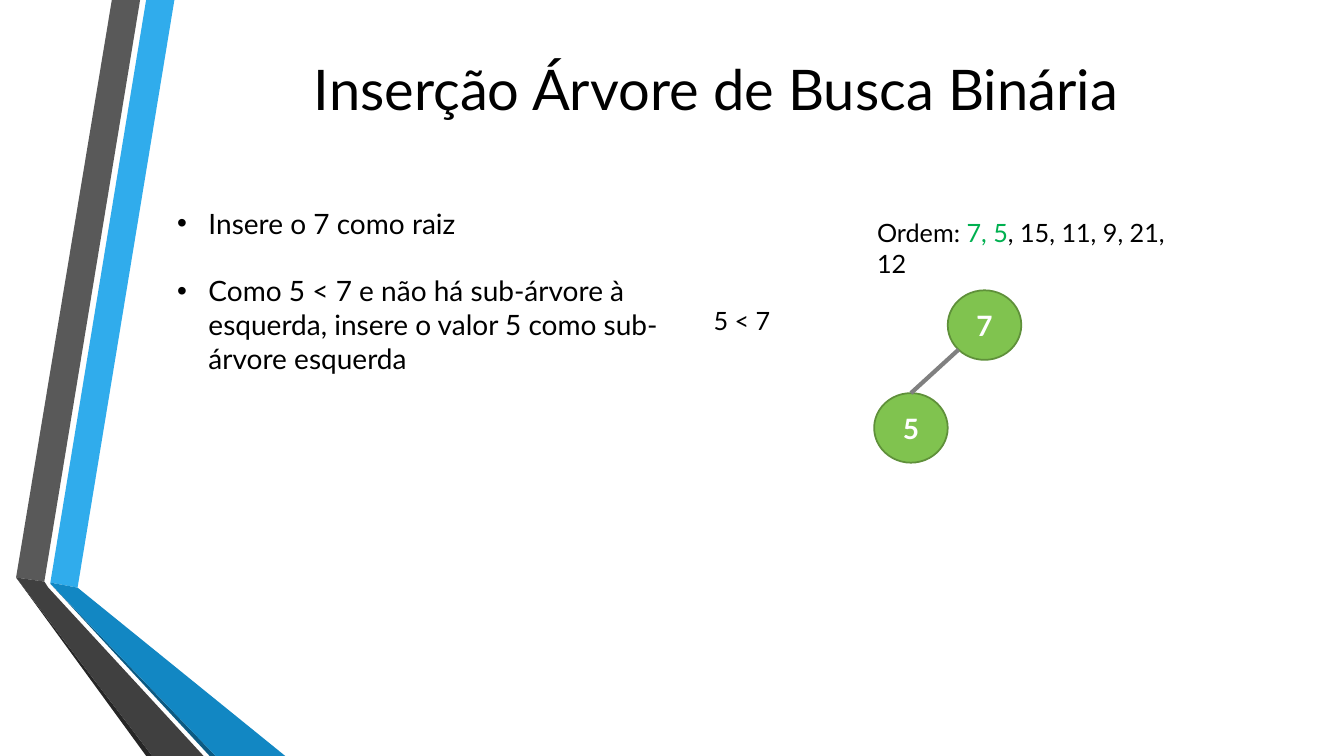
"""Builds the slide on inserting 7 and 5 into a binary search tree."""
import math
import pptx
import pptx.util
import pptx.dml.color
import pptx.enum.shapes
import pptx.enum.text
import pptx.oxml
import pptx.oxml.ns

HUES = {
    "black": "000000", "white": "FFFFFF", "done": "00B050", "node": "80C34F",
    "rim": "5F903A", "edge": "808080", "sky": "30ACEC", "gray": "595959",
    "soot": "262626", "navy": "0C5A82", "blue": "1287C3", "dark": "404040",
}
TITLE = "Inserção Árvore de Busca Binária"
STEPS = [
    "Insere o 7 como raiz",
    "Como 5 < 7 e não há sub-árvore à esquerda, insere o valor 5 como sub-árvore esquerda",
]
ORDER = [("Ordem: ", "black"), ("7, 5", "done"), (", 15, 11, 9, 21, 12", "black")]
TEST = "5 < 7"
NODES = {"7": (1, 0), "5": (0, 1)}
EDGES = [("7", "5")]
BANDS = [
    ("sky", [(0.5, 5.78), (0.77, 5.83), (1.73, 0), (1.45, 0)]),
    ("gray", [(1.39, 0), (1.11, 0), (0.16, 5.73), (0.44, 5.77)]),
    ("soot", [(0.16, 5.73), (1.45, 7.5), (1.51, 7.5)]),
    ("navy", [(0.5, 5.79), (2.08, 7.5), (2.14, 7.5)]),
    ("blue", [(0.5, 5.79), (2.14, 7.5), (2.83, 7.5), (0.77, 5.83), (0.5, 5.78)]),
    ("dark", [(2.02, 7.5), (0.48, 5.83), (0.44, 5.77), (0.16, 5.73), (1.51, 7.5)]),
]
WIDE, HIGH = 13.33, 7.5
LEFT, TOP = 8.67, 2.88
COL, ROW = 0.73, 1.02
NODE_W, NODE_H = 0.73, 0.69

Inch, Pt = pptx.util.Inches, pptx.util.Pt
ALIGN = pptx.enum.text.PP_ALIGN
ANCHOR = pptx.enum.text.MSO_ANCHOR


def hue(name):
    return pptx.dml.color.RGBColor.from_string(HUES[name])


def box(left, top, width, height):
    return slide.shapes.add_textbox(*map(Inch, (left, top, width, height)))


def write(shape, paras, size=18, color="black", bold=False, align=ALIGN.LEFT,
          anchor=ANCHOR.TOP, bullet=False, gap=0):
    frame = shape.text_frame
    frame.word_wrap = True
    frame.vertical_anchor = anchor
    for i, runs in enumerate(paras):
        para = frame.add_paragraph() if i else frame.paragraphs[0]
        para.alignment = align
        para.space_before = Pt(gap if i else 0)
        if bullet:
            props = para._p.get_or_add_pPr()
            props.set("marL", str(Inch(0.31)))
            props.set("indent", str(-Inch(0.31)))
            space = pptx.oxml.ns.nsdecls("a")
            for tag in (f'<a:buFont {space} typeface="Arial"/>',
                        f'<a:buChar {space} char="•"/>'):
                props.append(pptx.oxml.parse_xml(tag))
        for text, tint in [(runs, color)] if isinstance(runs, str) else runs:
            run = para.add_run()
            run.text = text
            font = run.font
            font.name, font.size, font.bold = "Lato", Pt(size), bold
            font.color.rgb = hue(tint)


def paint(shape, fill, rim=None):
    shape.shadow.inherit = False
    shape.fill.solid()
    shape.fill.fore_color.rgb = hue(fill)
    if rim:
        shape.line.color.rgb = hue(rim)
        shape.line.width = Pt(1.25)
    else:
        shape.line.fill.background()


def place(key):
    col, row = NODES[key]
    return LEFT + col * COL, TOP + row * ROW


def link(parent, child):
    left, top = place(parent)
    slant = math.sqrt(0.5)
    start = (left + NODE_W / 2 * (1 - slant), top + NODE_H / 2 * (1 + slant))
    left, top = place(child)
    end = (left + NODE_W / 2, top)
    line = slide.shapes.add_connector(
        pptx.enum.shapes.MSO_CONNECTOR.STRAIGHT, *map(Inch, start + end))
    line.line.color.rgb = hue("edge")
    line.line.width = Pt(3)
    space = pptx.oxml.ns.nsdecls("a")
    line._element.spPr.append(pptx.oxml.parse_xml(f"<a:effectLst {space}/>"))


deck = pptx.Presentation()
deck.slide_width, deck.slide_height = Inch(WIDE), Inch(HIGH)
slide = deck.slides.add_slide(deck.slide_layouts[5])

for fill, points in BANDS:
    first, *rest = [(Inch(x), Inch(y)) for x, y in points]
    pen = slide.shapes.build_freeform(*first)
    pen.add_line_segments(rest, close=True)
    paint(pen.convert_to_shape(), fill)

title = slide.shapes.title
title.left, title.top, title.width, title.height = map(Inch, (1.62, -0.09, 10.96, 1.92))
write(title, [TITLE], size=40, align=ALIGN.CENTER, anchor=ANCHOR.MIDDLE)

write(box(1.66, 2, 5, 1.78), STEPS, size=20, bullet=True, gap=24)

for key in NODES:
    node = slide.shapes.add_shape(
        pptx.enum.shapes.MSO_SHAPE.OVAL, *map(Inch, (*place(key), NODE_W, NODE_H)))
    paint(node, "node", "rim")
    write(node, [key], size=20, color="white", bold=True,
          align=ALIGN.CENTER, anchor=ANCHOR.MIDDLE)
for pair in EDGES:
    link(*pair)

write(box(8.6, 2.11, 3.08, 0.4), [ORDER])
write(box(6.98, 2.98, 0.8, 0.4), [TEST])

deck.save("out.pptx")
